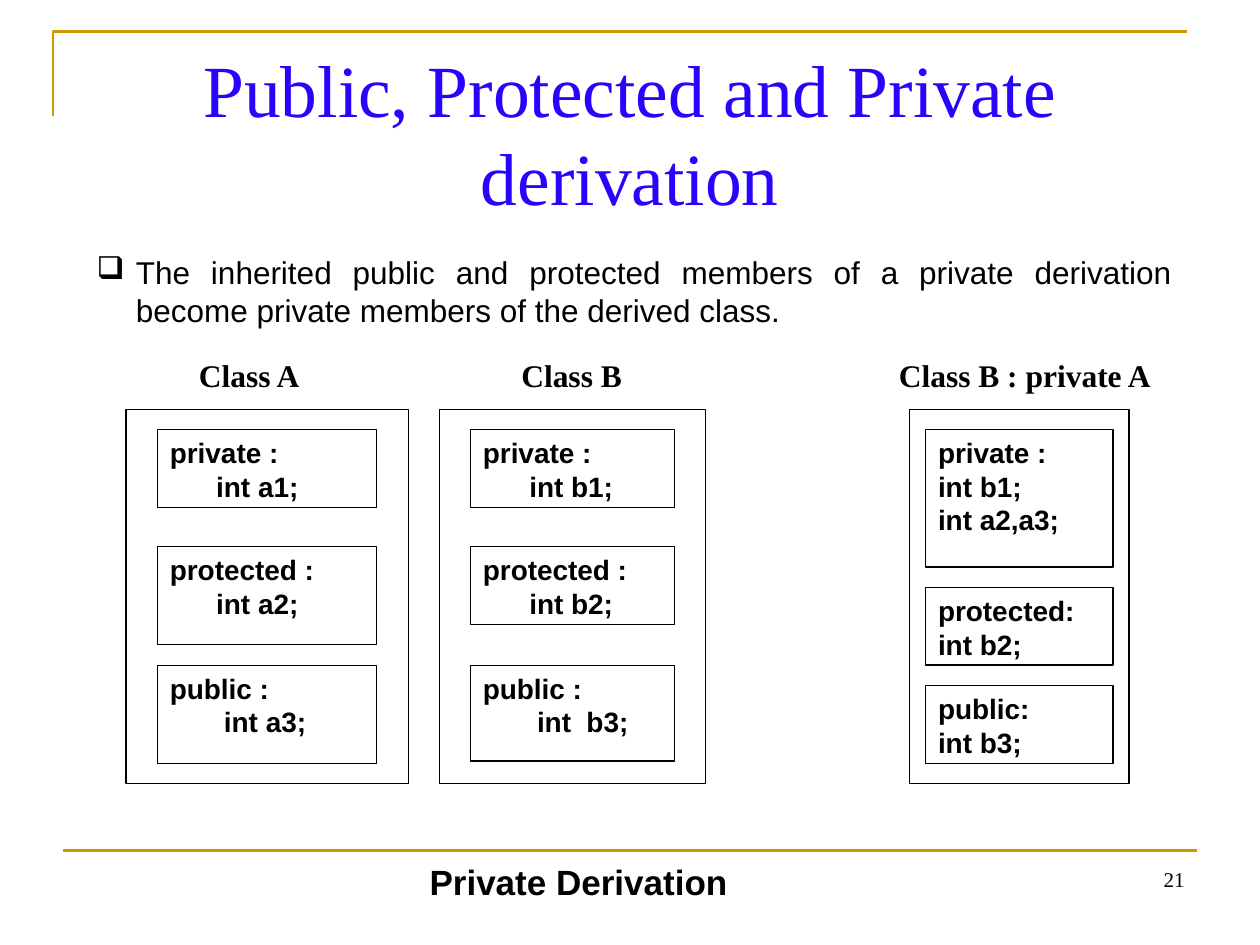
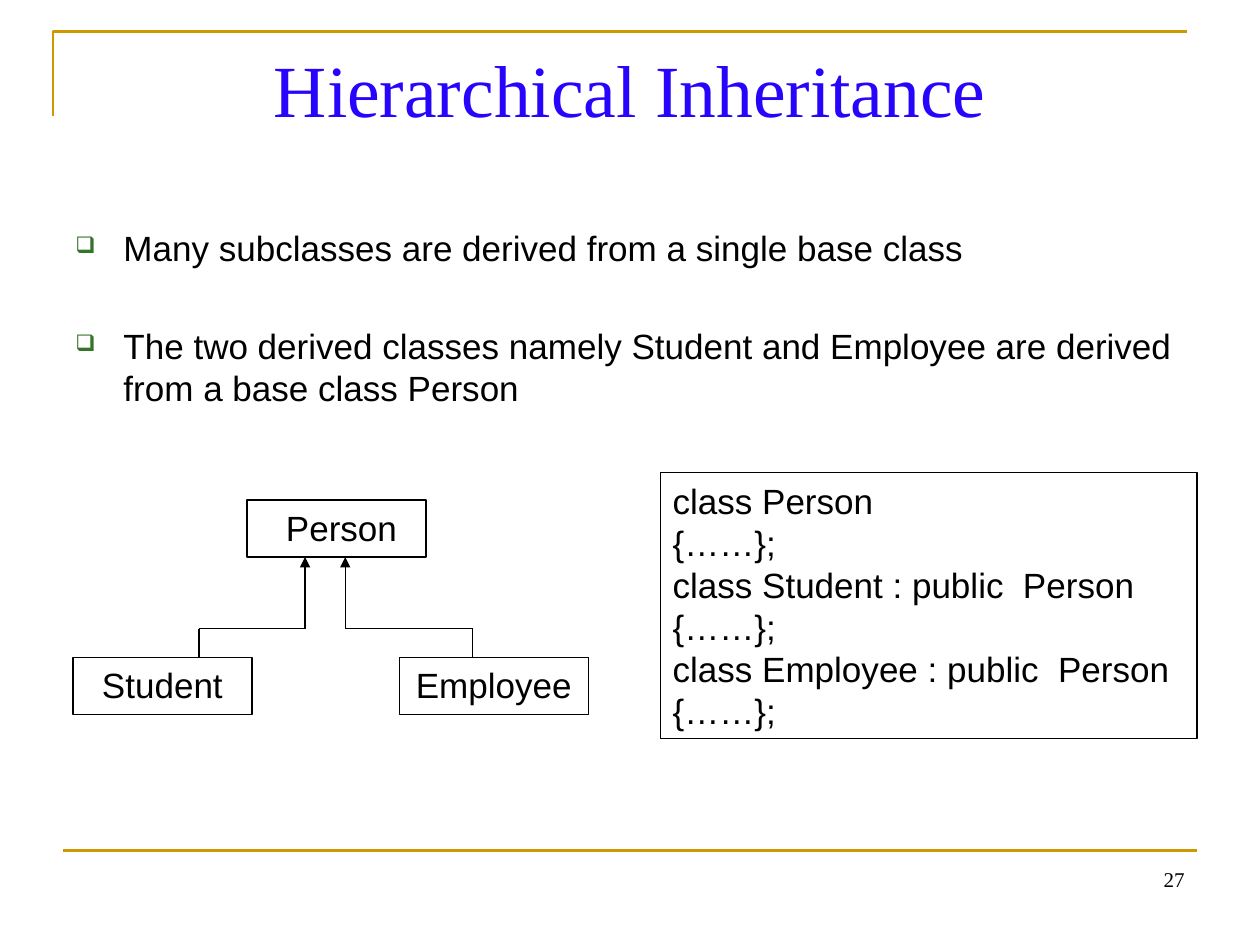
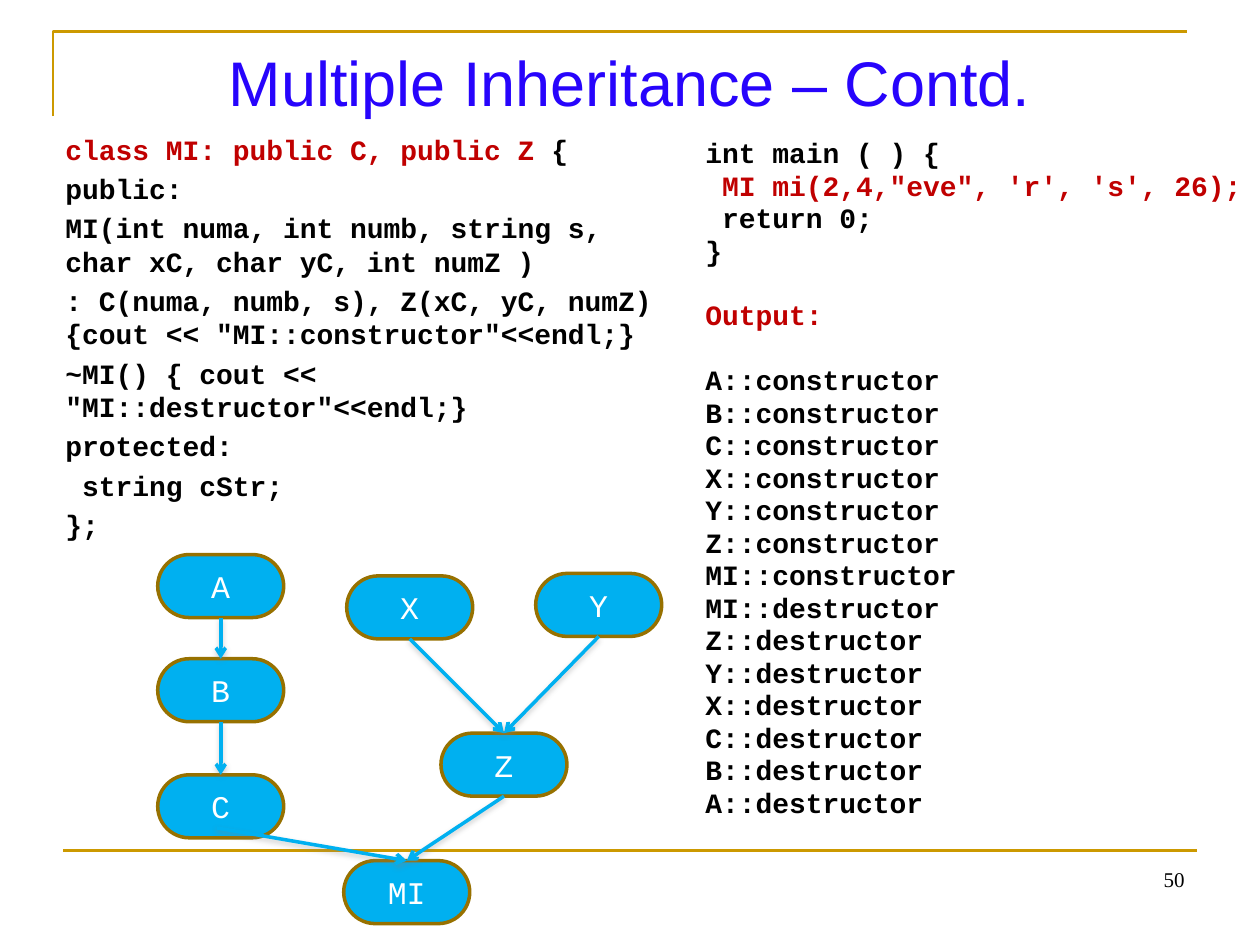
"""Build three slides on C++ inheritance: private, hierarchical and multiple."""
from lxml import etree
from pptx import Presentation
from pptx.dml.color import RGBColor
from pptx.enum.shapes import MSO_CONNECTOR, MSO_SHAPE
from pptx.enum.text import MSO_ANCHOR, PP_ALIGN
from pptx.oxml.ns import qn
from pptx.util import Cm, Pt

RECT, PILL = MSO_SHAPE.RECTANGLE, MSO_SHAPE.ROUNDED_RECTANGLE
STRAIGHT = MSO_CONNECTOR.STRAIGHT
LEFT, CENTER, RIGHT, JUSTIFY = PP_ALIGN.LEFT, PP_ALIGN.CENTER, PP_ALIGN.RIGHT, PP_ALIGN.JUSTIFY
TOP, MIDDLE = MSO_ANCHOR.TOP, MSO_ANCHOR.MIDDLE
SANS, SERIF, MONO = "Arial", "Times New Roman", "Courier New"
COLORS = {
    "black": "000000", "white": "FFFFFF", "title": "2704FC", "rule": "CC9900",
    "bullet": "35742A", "red": "C00000", "node": "00B0F0", "node_line": "977100",
    "shadow": "808080",
}

DERIVATION_TITLE = "Public, Protected and Private derivation"
DERIVATION_RULE = ("The inherited public and protected members of a private derivation "
                   "become private members of the derived class.")
PANEL_TOP, PANEL_HEIGHT = 8.26, 7.54
PANELS = [
    {"label": "Class A", "label_left": 3.76, "left": 2.54, "width": 5.69, "inner": 4.42,
     "members": [(8.66, 1.57, ["private :", "      int a1;"]),
                 (11.02, 1.98, ["protected :", "      int a2;"]),
                 (13.41, 1.98, ["public :", "       int a3;"])]},
    {"label": "Class B", "label_left": 10.26, "left": 8.86, "width": 5.36, "inner": 4.11,
     "members": [(8.66, 1.57, ["private :", "      int b1;"]),
                 (11.02, 1.57, ["protected :", "      int b2;"]),
                 (13.41, 1.93, ["public :", "       int  b3;"])]},
    {"label": "Class B : private A", "label_left": 17.87, "left": 18.34, "width": 4.42,
     "inner": 3.78,
     "members": [(8.66, 2.77, ["private :", "int b1;", "int a2,a3;"]),
                 (11.84, 1.57, ["protected:", "int b2;"]),
                 (13.82, 1.57, ["public:", "int b3;"])]},
]

HIERARCHY_POINTS = [
    "Many subclasses are derived from a single base class",
    "The two derived classes namely Student and Employee are derived from a base class Person",
]
HIERARCHY_CODE = ["class Person", "{……};", "class Student : public  Person", "{……};",
                  "class Employee : public  Person", "{……};"]
CLASS_BOXES = [("Person", 4.98, 10.08, 3.61, 0.2), ("Student", 1.47, 13.26, 3.61, 0),
               ("Employee", 8.05, 13.26, 3.81, 0)]
PERSON_BOTTOM, BRANCH_Y, CHILD_TOP = 11.23, 12.67, 13.26
BRANCHES = [(6.15, 4.01), (6.96, 9.53)]

CLASS_CODE = [
    [("class MI: public C, public Z ", "red"), ("{", "black")],
    "public:",
    "MI(int numa, int numb, string s, char xC, char yC, int numZ )",
    ": C(numa, numb, s), Z(xC, yC, numZ) {cout << \"MI::constructor\"<<endl;}",
    "~MI() { cout << \"MI::destructor\"<<endl;}",
    "protected:",
    " string cStr;",
    "};",
]
BUILD_ORDER = ["A", "B", "C", "X", "Y", "Z", "MI"]
MAIN_CODE = [
    "int main ( ) {",
    [(" ", "black"), ("MI mi(2,4,\"eve\", 'r', 's', 26);", "red")],
    " return 0;",
    "}",
    [("Output:", "red")],
    *[f"{name}::constructor" for name in BUILD_ORDER],
    *[f"{name}::destructor" for name in reversed(BUILD_ORDER)],
]
OUTPUT_ROWS = (4, 5)
NODES = {"A": (3.18, 11.18), "B": (3.18, 13.28), "C": (3.18, 15.62), "X": (6.99, 11.61),
         "Y": (10.8, 11.56), "Z": (8.89, 14.78), "MI": (6.93, 17.35)}
NODE_WIDTH, NODE_HEIGHT = 2.54, 1.27
ARROWS = [("A", "B"), ("B", "C"), ("X", "Z"), ("Y", "Z"), ("Z", "MI")]
LAST_ARROW_START = (4.37, 16.69)


def rgb(name):
    return RGBColor.from_string(COLORS[name])


def add_bullet(para, indent, color, percent):
    props = para._p.get_or_add_pPr()
    props.set("marL", str(Cm(indent)))
    props.set("indent", str(-Cm(indent)))
    tint = etree.SubElement(etree.SubElement(props, qn("a:buClr")), qn("a:srgbClr"))
    tint.set("val", COLORS[color])
    etree.SubElement(props, qn("a:buSzPct")).set("val", str(percent * 1000))
    etree.SubElement(props, qn("a:buChar")).set("char", "❑")


def write(shape, paras, size, font=SANS, color="black", bold=False, align=LEFT, anchor=TOP,
          gap=0, wide_gaps=None, spacing=None, bullet=None):
    frame = shape.text_frame
    frame.word_wrap = True
    frame.vertical_anchor = anchor
    for index, content in enumerate(paras):
        para = frame.paragraphs[0] if index == 0 else frame.add_paragraph()
        if bullet:
            add_bullet(para, *bullet)
        para.alignment = align
        if spacing:
            para.line_spacing = spacing
        if index:
            para.space_before = Pt((wide_gaps or {}).get(index, gap))
        for text, tint in [(content, color)] if isinstance(content, str) else content:
            span = para.add_run()
            span.text = text
            span.font.size = Pt(size)
            span.font.name = font
            span.font.bold = bold
            span.font.color.rgb = rgb(tint)
    return shape


def add_text(page, place, paras, size, **style):
    return write(page.shapes.add_textbox(*map(Cm, place)), paras, size, **style)


def add_box(page, place, kind=RECT, fill="white", line="black", weight=0.75):
    box = page.shapes.add_shape(kind, *map(Cm, place))
    box.shadow.inherit = False
    if fill:
        box.fill.solid()
        box.fill.fore_color.rgb = rgb(fill)
    else:
        box.fill.background()
    box.line.color.rgb = rgb(line)
    box.line.width = Pt(weight)
    return box


def add_line(page, start, end, color="black", weight=0.75, head=None, shadow=False):
    line = page.shapes.add_connector(STRAIGHT, *map(Cm, (*start, *end)))
    line.line.color.rgb = rgb(color)
    line.line.width = Pt(weight)
    if head:
        etree.SubElement(line.line._get_or_add_ln(), qn("a:tailEnd")).set("type", head)
    effects = etree.SubElement(line._element.spPr, qn("a:effectLst"))
    if shadow:
        outer = etree.SubElement(effects, qn("a:outerShdw"), blurRad=str(Pt(3.1)),
                                 dist=str(Pt(1.6)), dir="5400000", rotWithShape="0")
        tint = etree.SubElement(outer, qn("a:srgbClr"), val=COLORS["shadow"])
        etree.SubElement(tint, qn("a:alpha"), val="38000")
    return line


def add_page(deck, title, number, size=42, font=SERIF):
    page = deck.slides.add_slide(deck.slide_layouts[6])
    outline = page.shapes.build_freeform(Cm(1.07), Cm(2.34))
    outline.add_line_segments([(Cm(1.07), Cm(0.64)), (Cm(23.93), Cm(0.64))], close=False)
    corner = outline.convert_to_shape()
    corner.shadow.inherit = False
    corner.fill.background()
    corner.line.color.rgb = rgb("rule")
    corner.line.width = Pt(1.5)
    add_line(page, (1.27, 17.15), (24.13, 17.15), "rule", 1.5)
    add_text(page, (1.27, 0.76, 22.86, 3.18), [title], size, font=font, color="title",
             align=CENTER)
    add_text(page, (18.21, 17.35, 5.92, 1.32), [number], 12, font=SERIF, align=RIGHT)
    return page


def build_derivation(deck):
    page = add_page(deck, DERIVATION_TITLE, "21")
    add_text(page, (1.7, 4.98, 22.17, 1.8), [DERIVATION_RULE], 18, align=JUSTIFY,
             bullet=(0.79, "black", 100))
    for panel in PANELS:
        add_text(page, (panel["label_left"], 7.04, 6.5, 1.02), [panel["label"]], 18,
                 font=SERIF, bold=True, anchor=MIDDLE)
        add_box(page, (panel["left"], PANEL_TOP, panel["width"], PANEL_HEIGHT))
        inner_left = panel["left"] + (panel["width"] - panel["inner"]) / 2
        for top, height, lines in panel["members"]:
            member = add_box(page, (inner_left, top, panel["inner"], height))
            write(member, lines, 16, bold=True)
    add_text(page, (8.41, 17.22, 11.2, 1.19), ["Private Derivation"], 20, bold=True)


def build_hierarchy(deck):
    page = add_page(deck, "Hierarchical Inheritance", "27")
    add_text(page, (1.27, 4.45, 22.86, 4.5), HIERARCHY_POINTS, 20, gap=32,
             bullet=(0.97, "bullet", 65))
    for name, left, top, width, shift in CLASS_BOXES:
        box = write(add_box(page, (left, top, width, 1.15)), [name], 20, align=CENTER)
        box.text_frame.margin_left = Cm(0.25 + shift)
    for arrow_x, child_x in BRANCHES:
        add_line(page, (arrow_x, BRANCH_Y), (arrow_x, PERSON_BOTTOM), head="triangle")
        add_line(page, (arrow_x, BRANCH_Y), (child_x, BRANCH_Y))
        add_line(page, (child_x, BRANCH_Y), (child_x, CHILD_TOP))
    write(add_box(page, (13.31, 9.53, 10.82, 5.36), fill=None), HIERARCHY_CODE, 20,
          anchor=MIDDLE)


def build_multiple(deck):
    page = add_page(deck, "Multiple Inheritance – Contd.", "50", 36, SANS)
    add_text(page, (1.07, 2.54, 12.7, 8.5), CLASS_CODE, 16, font=MONO, bold=True, gap=3.2)
    nodes = {}
    for name, (left, top) in NODES.items():
        node = add_box(page, (left, top, NODE_WIDTH, NODE_HEIGHT), PILL, "node",
                       "node_line", 2)
        node.adjustments[0] = 0.5
        nodes[name] = write(node, [name], 18, font=MONO, color="white", align=CENTER,
                            anchor=MIDDLE)
    style = {"color": "node", "weight": 2, "head": "arrow", "shadow": True}
    for parent, child in ARROWS:
        arrow = add_line(page, NODES[parent], NODES[child], **style)
        arrow.begin_connect(nodes[parent], 2)
        arrow.end_connect(nodes[child], 0)
    last_arrow = add_line(page, LAST_ARROW_START, NODES["MI"], **style)
    last_arrow.end_connect(nodes["MI"], 0)
    add_text(page, (13.97, 2.74, 11.63, 14.3), MAIN_CODE, 16, font=MONO, bold=True,
             gap=3.2, wide_gaps=dict.fromkeys(OUTPUT_ROWS, 21.7), spacing=0.8)


def main():
    deck = Presentation()
    deck.slide_width, deck.slide_height = Cm(25.4), Cm(19.05)
    build_derivation(deck)
    build_hierarchy(deck)
    build_multiple(deck)
    deck.save("out.pptx")


if __name__ == "__main__":
    main()
